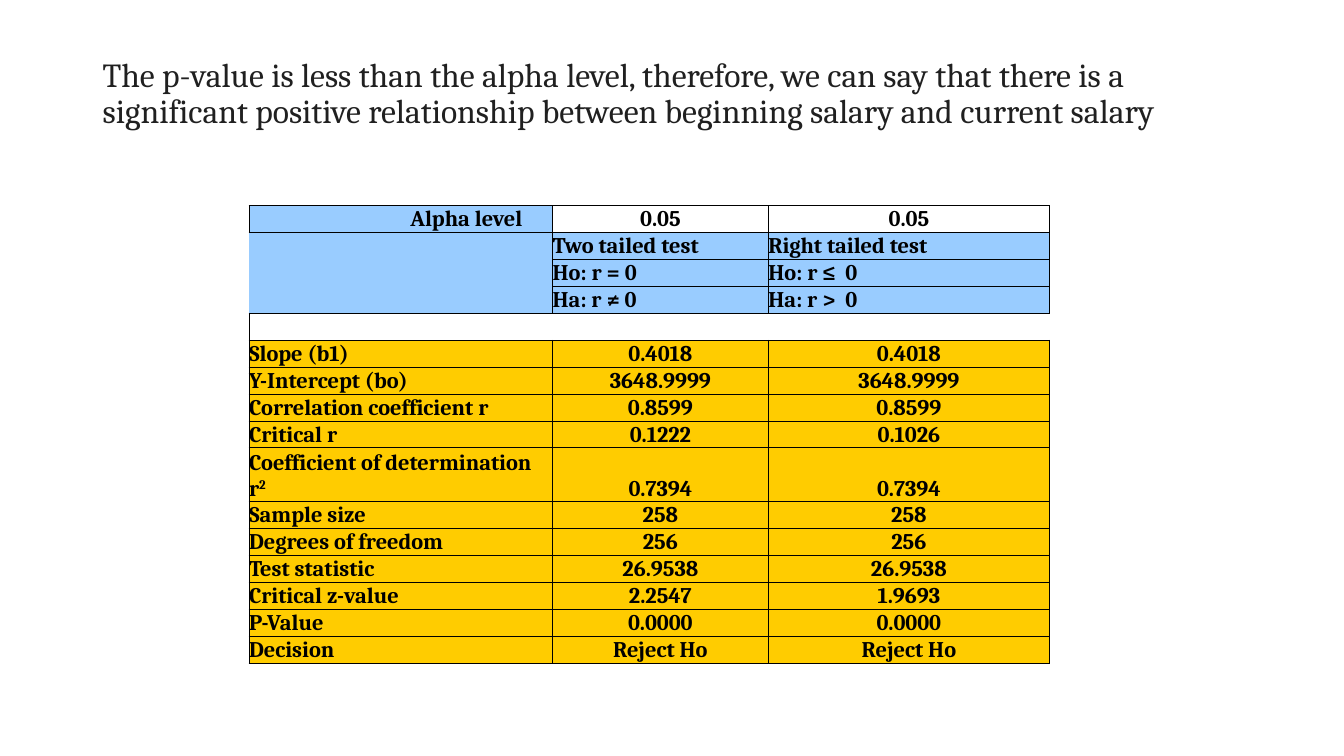
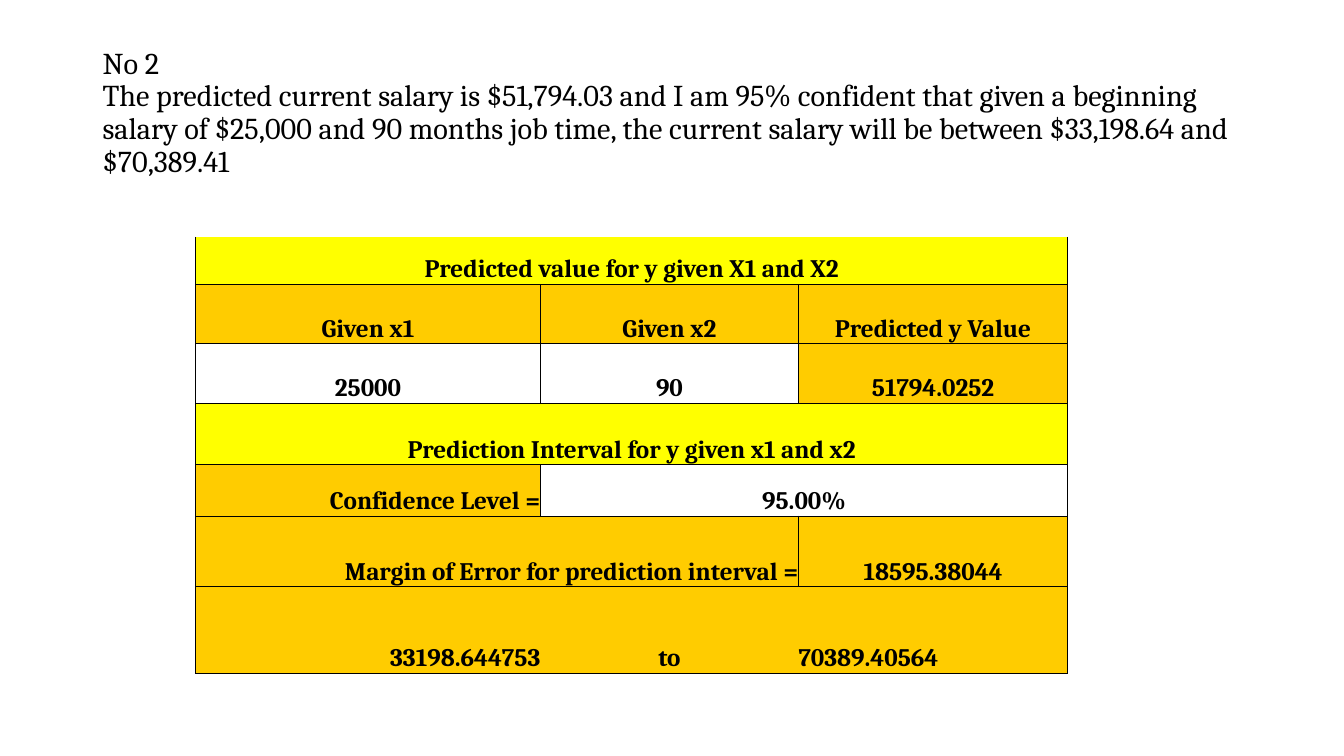
import dataclasses

import lxml.etree
import pptx
import pptx.dml.color
import pptx.enum.text
import pptx.oxml.ns
import pptx.util

Inches = pptx.util.Inches
Pt = pptx.util.Pt
qn = pptx.oxml.ns.qn
ALIGN = pptx.enum.text.PP_ALIGN
ANCHOR = pptx.enum.text.MSO_ANCHOR

COLORS = {
    "white": "FFFFFF",
    "black": "000000",
    "charcoal": "202020",
    "blue": "99CCFF",
    "gold": "FFCC00",
    "yellow": "FFFF00",
}
FONT = "Cambria"
TITLE_BOX = (0.92, 0.4, 11.5, 1.45)
INNER_LINE = 0.5


@dataclasses.dataclass
class Entry:
    """Content and look of one table cell; sides names its drawn borders."""
    text: str = ""
    fill: str = "gold"
    align: int = ALIGN.CENTER
    sides: str = "LRTB"
    span: int = 1
    right_pad: float = 0
    raised: str = ""


def add_span(para, text, size, color, bold=False):
    """Add one styled run to a paragraph."""
    span = para.add_run()
    span.text = text
    span.font.name = FONT
    span.font.size = Pt(size)
    span.font.bold = bold
    span.font.color.rgb = pptx.dml.color.RGBColor.from_string(COLORS[color])
    return span


def add_title(page, box, lines, size, color, bottom=0.05):
    """Place the title text in its box, one line break between lines."""
    frame = page.shapes.add_textbox(*map(Inches, box)).text_frame
    frame.word_wrap = True
    frame.vertical_anchor = ANCHOR.MIDDLE
    frame.margin_bottom = Inches(bottom)
    para = frame.paragraphs[0]
    para.line_spacing = 0.9
    for index, line in enumerate(lines):
        if index:
            para.add_line_break()
        add_span(para, line, size, color)


def set_borders(cell, widths):
    """Draw the borders whose width is above zero and clear the others."""
    properties = cell._tc.get_or_add_tcPr()
    for side, width in widths.items():
        line = lxml.etree.SubElement(properties, qn(f"a:ln{side}"), w=str(Pt(width)))
        if width:
            fill = lxml.etree.SubElement(line, qn("a:solidFill"))
            lxml.etree.SubElement(fill, qn("a:srgbClr"), val=COLORS["black"])
        else:
            lxml.etree.SubElement(line, qn("a:noFill"))


def fill_cell(cell, entry, size):
    """Write an entry's text and fill into a cell."""
    cell.margin_left = cell.margin_top = cell.margin_bottom = 0
    cell.margin_right = Inches(entry.right_pad)
    cell.vertical_anchor = ANCHOR.BOTTOM
    cell.fill.solid()
    cell.fill.fore_color.rgb = pptx.dml.color.RGBColor.from_string(COLORS[entry.fill])
    para = cell.text_frame.paragraphs[0]
    para.alignment = entry.align
    if entry.text:
        add_span(para, entry.text, size, "black", True)
    else:
        lxml.etree.SubElement(para._p, qn("a:endParaRPr"), sz=str(size * 100))
    if entry.raised:
        span = add_span(para, entry.raised, size, "black", True)
        span._r.get_or_add_rPr().set("baseline", "30000")


def add_grid(page, left, top, columns, heights, rows, size, edge):
    """Build a table from rows of entries, with edge as outer line width."""
    table = page.shapes.add_table(
        len(rows), len(columns), Inches(left), Inches(top),
        Inches(sum(columns)), Inches(sum(heights))).table
    table.first_row = table.horz_banding = False
    for column, width in zip(table.columns, columns):
        column.width = Inches(width)
    for row, height in zip(table.rows, heights):
        row.height = Inches(height)
    for r, entries in enumerate(rows):
        c = 0
        for entry in entries:
            last = c + entry.span - 1
            outer = {"L": c == 0, "R": last == len(columns) - 1,
                     "T": r == 0, "B": r == len(rows) - 1}
            widths = {side: (edge if outer[side] else INNER_LINE) if side in entry.sides else 0
                      for side in outer}
            for covered in range(c, last + 1):
                set_borders(table.cell(r, covered), widths)
            if entry.span > 1:
                table.cell(r, c).merge(table.cell(r, last))
            fill_cell(table.cell(r, c), entry, size)
            c = last + 1


def build_test_page(page):
    """Build the correlation test slide."""
    add_title(page, TITLE_BOX, [
        "The p-value is less than the alpha level, therefore, we can say that there is a "
        "significant positive relationship between beginning salary and current salary",
    ], 24, "charcoal", bottom=0.42)
    hypotheses = [
        ("RT", "Two tailed test", "Right tailed test"),
        ("R", "Ho: r = 0", "Ho: r ≤  0"),
        ("RB", "Ha: r ≠ 0", "Ha: r >  0"),
    ]
    results = [
        ("Slope (b1)", "0.4018", "0.4018"),
        ("Y-Intercept (bo)", "3648.9999", "3648.9999"),
        ("Correlation coefficient r", "0.8599", "0.8599"),
        ("Critical r", "0.1222", "0.1026"),
        ("Coefficient of determination r", "0.7394", "0.7394"),
        ("Sample size", "258", "258"),
        ("Degrees of freedom", "256", "256"),
        ("Test statistic", "26.9538", "26.9538"),
        ("Critical z-value", "2.2547", "1.9693"),
        ("P-Value", "0.0000", "0.0000"),
        ("Decision", "Reject Ho", "Reject Ho"),
    ]
    rows = [[Entry("Alpha level", "blue", ALIGN.RIGHT, right_pad=0.3),
             Entry("0.05", "white"), Entry("0.05", "white")]]
    rows += [[Entry(fill="blue", sides=sides)]
             + [Entry(text, "blue", ALIGN.LEFT) for text in texts]
             for sides, *texts in hypotheses]
    rows.append([Entry(fill="white", sides=sides) for sides in ("LTB", "TB", "TB")])
    rows += [[Entry(label, align=ALIGN.LEFT,
                    raised="2" if label.startswith("Coefficient") else "")]
             + [Entry(value) for value in values]
             for label, *values in results]
    heights = [0.51 if row[0].raised else 0.25 for row in rows]
    add_grid(page, 2.47, 2.04, [3.01, 2.14, 2.79], heights, rows, 16, 0.5)


def build_prediction_page(page):
    """Build the salary prediction slide."""
    add_title(page, TITLE_BOX, [
        "No 2",
        "The predicted current salary is $51,794.03 and I am 95% confident that given a "
        "beginning salary of $25,000 and 90 months job time, the current salary will be "
        "between $33,198.64 and $70,389.41",
    ], 21.6, "black")
    rows = [
        [Entry("Predicted value for y given X1 and X2", "yellow", sides="LRB", span=3)],
        [Entry("Given x1"), Entry("Given x2"), Entry("Predicted y Value")],
        [Entry("25000", "white"), Entry("90", "white"), Entry("51794.0252")],
        [Entry("Prediction Interval for y given x1 and x2", "yellow", span=3)],
        [Entry("Confidence Level =", align=ALIGN.RIGHT), Entry("95.00%", "white", span=2)],
        [Entry("Margin of Error for prediction interval =", align=ALIGN.RIGHT, span=2),
         Entry("18595.38044")],
        [Entry("33198.644753", align=ALIGN.RIGHT, sides="LTB"), Entry("to", sides="TB"),
         Entry("70389.40564", align=ALIGN.LEFT, sides="RTB")],
    ]
    heights = [0.47, 0.59, 0.59, 0.61, 0.51, 0.7, 0.86]
    add_grid(page, 1.94, 2.35, [3.42, 2.56, 2.67], heights, rows, 18, 1)


def main():
    """Build and save the deck."""
    deck = pptx.Presentation()
    deck.slide_width, deck.slide_height = Inches(13.33), Inches(7.5)
    for build in (build_test_page, build_prediction_page):
        build(deck.slides.add_slide(deck.slide_layouts[6]))
    deck.save("out.pptx")


if __name__ == "__main__":
    main()
